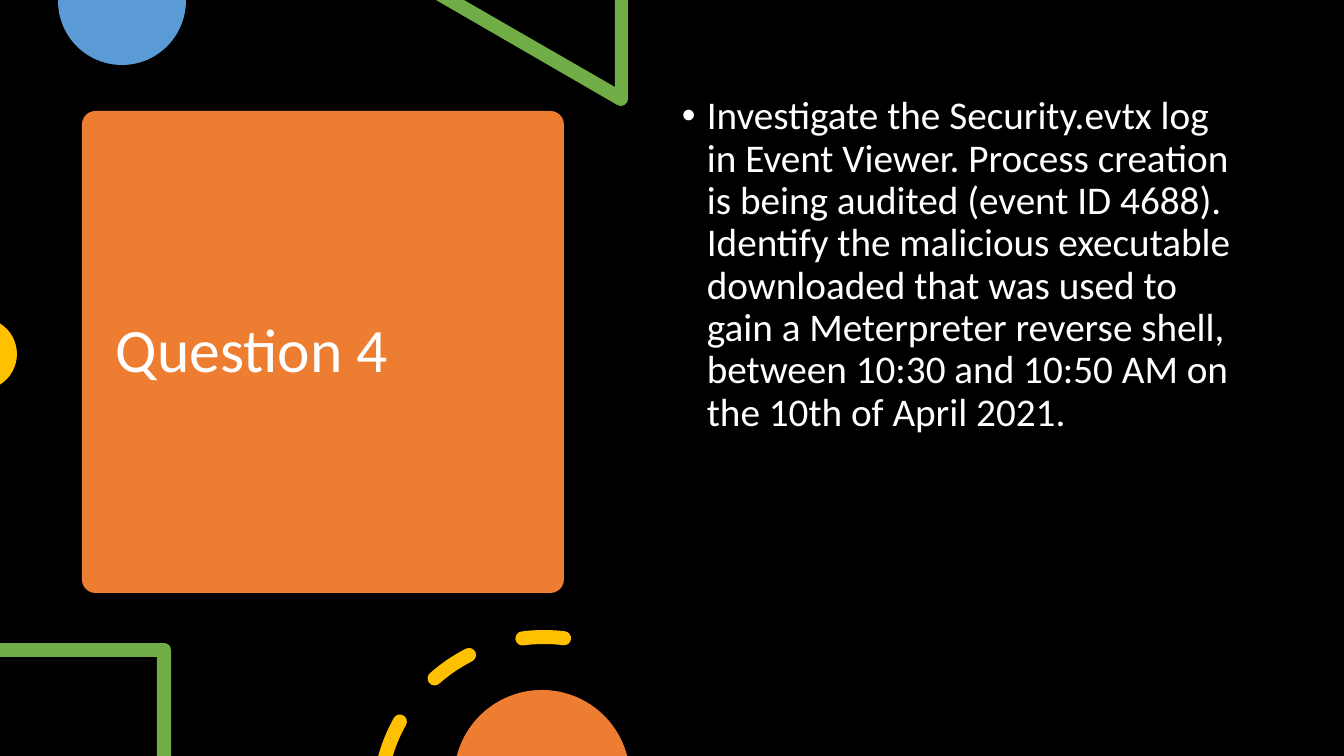
"""Build the Question 4 slide with its title card and cropped decorations."""
from math import ceil, cos, radians, sin, tan

from lxml.etree import SubElement
from pptx import Presentation
from pptx.dml.color import RGBColor
from pptx.enum.shapes import MSO_SHAPE as Shape
from pptx.enum.text import MSO_ANCHOR as Anchor
from pptx.oxml.ns import qn
from pptx.util import Emu, Pt

TITLE = "Question 4"
BODY = (
    "Investigate the Security.evtx log in Event Viewer. Process creation is being "
    "audited (event ID 4688). Identify the malicious executable downloaded that was "
    "used to gain a Meterpreter reverse shell, between 10:30 and 10:50 AM on the "
    "10th of April 2021."
)
FONT = "Calibri"
BLACK, WHITE = "000000", "FFFFFF"
ORANGE, BLUE, GREEN, YELLOW = "ED7D31", "5B9BD5", "70AD47", "FFC000"

SLIDE = (1344, 756)
CARD = (82, 111, 482, 482)
TITLE_AREA = (106, 123, 434, 460)
BODY_AREA = (672, 91, 580, 539)
BULLET_INDENT = 25

RING_CENTER = (544, 802)
RING_RADIUS = 165
HALF_STROKE = 7
WHOLE_DASHES = [(228.5, 243), (262.5, 277)]
CUT_DASH = {"outer": 195.5, "inner": 196.9, "end": 209.2}

PX = 914400 / 100.8


def emu(px):
    return Emu(round(px * PX))


def color(hex_text):
    return RGBColor.from_string(hex_text)


def lines(*points):
    return [(point,) for point in points]


def arc(center, radius, start, end):
    """Return a start point and cubic curves of at most a quarter turn each."""
    count = ceil(abs(end - start) / 90)
    step = radians(end - start) / count
    handle = 4 / 3 * tan(step / 4)

    def at(angle, pull=0):
        return (
            center[0] + radius * (cos(angle) - pull * sin(angle)),
            center[1] + radius * (sin(angle) + pull * cos(angle)),
        )

    angles = [radians(start) + i * step for i in range(count + 1)]
    curves = [(at(a, handle), at(b, -handle), at(b)) for a, b in zip(angles, angles[1:])]
    return [(at(angles[0]),)] + curves


def ring_dash(outer_start, inner_start, end, round_start=True):
    def cap(angle, turn):
        x, y = RING_CENTER
        center = (
            x + RING_RADIUS * cos(radians(angle)),
            y + RING_RADIUS * sin(radians(angle)),
        )
        return arc(center, HALF_STROKE, turn, turn + 180)[1:]

    outline = arc(RING_CENTER, RING_RADIUS + HALF_STROKE, outer_start, end)
    outline += cap(end, end)
    outline += arc(RING_CENTER, RING_RADIUS - HALF_STROKE, end, inner_start)[1:]
    if round_start:
        outline += cap(inner_start, inner_start + 180)
    return outline


def paint(shape, hex_text):
    shape.shadow.inherit = False
    shape.fill.solid()
    shape.fill.fore_color.rgb = color(hex_text)
    shape.line.fill.background()


def add_outline(page, contours, hex_text):
    builder = None
    for contour in contours:
        points = [(emu(x), emu(y)) for segment in contour for x, y in segment]
        if builder is None:
            builder = page.shapes.build_freeform(*points[0], scale=1.0)
        else:
            builder.move_to(*points[0])
        builder.add_line_segments(points[1:], close=True)
    shape = builder.convert_to_shape()
    steps = iter(list(shape._element.iter(qn("a:lnTo"))))
    for contour in contours:
        for segment in contour[1:]:
            first, *others = [next(steps) for _ in segment]
            if others:
                first.tag = qn("a:cubicBezTo")
                for other in others:
                    first.append(other[0])
                    other.getparent().remove(other)
    paint(shape, hex_text)


def add_text(page, area, text, size, anchor, bullet=False):
    box = page.shapes.add_textbox(*map(emu, area))
    frame = box.text_frame
    frame.word_wrap = True
    frame.vertical_anchor = anchor
    frame.text = text
    para = frame.paragraphs[0]
    para.line_spacing = 0.9
    if bullet:
        properties = para._p.get_or_add_pPr()
        properties.set("marL", str(emu(BULLET_INDENT)))
        properties.set("indent", str(-emu(BULLET_INDENT)))
        SubElement(properties, qn("a:buFont")).set("typeface", "Arial")
        SubElement(properties, qn("a:buChar")).set("char", "•")
    font = para.runs[0].font
    font.name, font.size, font.color.rgb = FONT, Pt(size), color(WHITE)


def main():
    deck = Presentation()
    deck.slide_width, deck.slide_height = map(emu, SLIDE)
    page = deck.slides.add_slide(deck.slide_layouts[6])
    page.background.fill.solid()
    page.background.fill.fore_color.rgb = color(BLACK)

    card = page.shapes.add_shape(Shape.ROUNDED_RECTANGLE, *map(emu, CARD))
    card.adjustments[0] = 0.028
    paint(card, ORANGE)
    add_text(page, TITLE_AREA, TITLE, 44, Anchor.MIDDLE)

    blue_disc = lines((58, 0), (186, 0)) + arc((122, 1), 64, 0, 180)[1:]
    triangle = lines((628, 0), (615, 0), (615, 87), (464, 0), (436, 0))
    triangle += arc((621, 99), HALF_STROKE, 120, 0)
    corner = lines((164, 643), (0, 643), (0, 657), (157, 657), (157, 756), (171, 756))
    corner += arc((164, 650), HALF_STROKE, 0, -90)
    dashes = [ring_dash(CUT_DASH["outer"], CUT_DASH["inner"], CUT_DASH["end"], False)]
    dashes += [ring_dash(start, start, end) for start, end in WHOLE_DASHES]

    add_outline(page, [blue_disc], BLUE)
    add_outline(page, [triangle], GREEN)
    add_outline(page, [arc((-19, 354), 36, -58, 58)], YELLOW)
    add_text(page, BODY_AREA, BODY, 28, Anchor.TOP, bullet=True)
    add_outline(page, [corner], GREEN)
    add_outline(page, dashes, YELLOW)
    add_outline(page, [arc((542, 778), 88, -165.5, -14.5)], ORANGE)

    deck.save("out.pptx")


if __name__ == "__main__":
    main()
